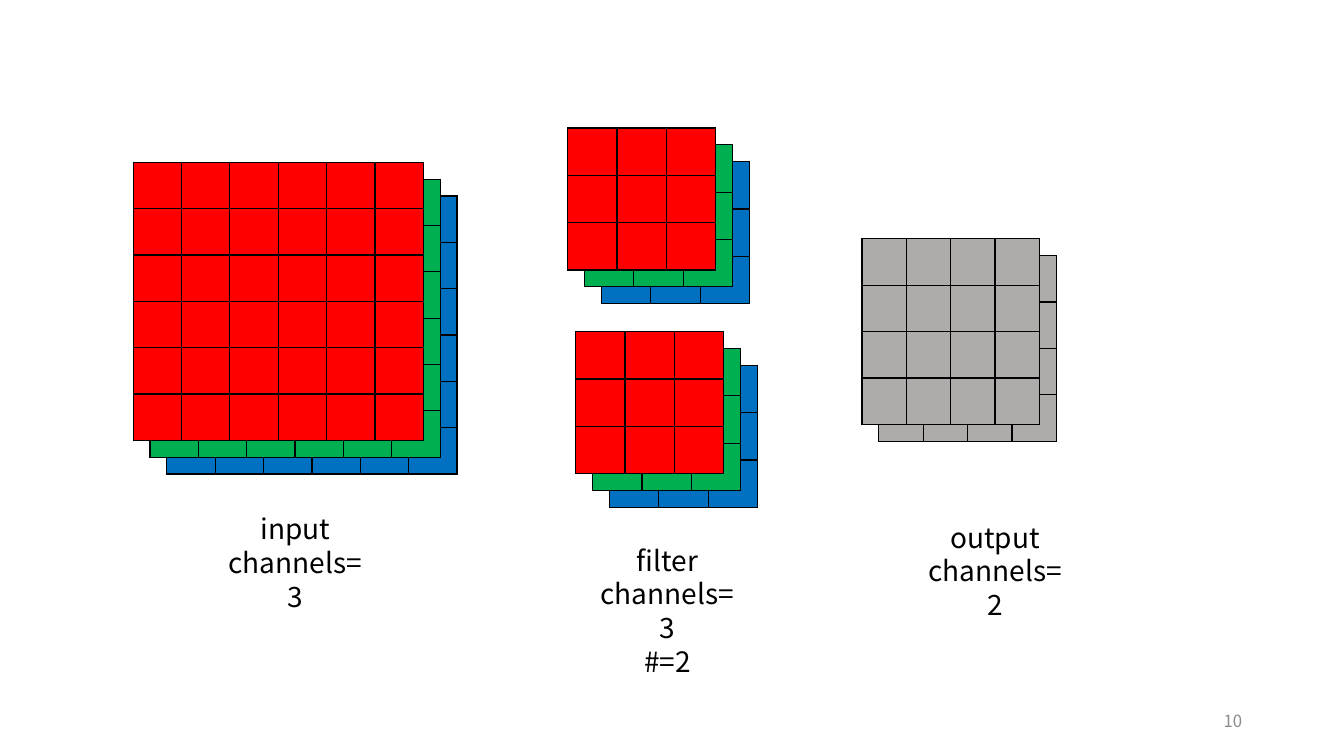
from pptx import Presentation
from pptx.dml.color import RGBColor
from pptx.enum.text import MSO_ANCHOR, PP_ALIGN
from pptx.oxml import parse_xml
from pptx.oxml.ns import nsdecls
from pptx.util import Inches, Pt

RED, GREEN, BLUE, GRAY = "FF0000", "00B050", "0070C0", "AFABAB"
LAYER_STEP = 0.167


def color(value):
    return RGBColor.from_string(value)


def write(frame, text, size=20, ink="000000", font="Noto Sans CJK KR",
          align=PP_ALIGN.CENTER, anchor=MSO_ANCHOR.TOP, spacing=None):
    frame.word_wrap = True
    frame.vertical_anchor = anchor
    frame.text = text
    for paragraph in frame.paragraphs:
        paragraph.alignment = align
        paragraph.line_spacing = spacing
        for run in paragraph.runs:
            run.font.size = Pt(size)
            run.font.name = font
            run.font.color.rgb = color(ink)


class ChannelSlide:
    def __init__(self, slide, border="000000", border_width=1):
        self.slide = slide
        self.border = border
        self.border_width = Pt(border_width)

    def outline(self, cell):
        properties = cell._tc.get_or_add_tcPr()
        for position, side in enumerate(("lnL", "lnR", "lnT", "lnB")):
            properties.insert(position, parse_xml(
                f'<a:{side} {nsdecls("a")} w="{self.border_width}"><a:solidFill>'
                f'<a:srgbClr val="{self.border}"/></a:solidFill></a:{side}>'))

    def channel(self, left, top, count, cell_width, cell_height, fill):
        grid = self.slide.shapes.add_table(
            count, count, Inches(left), Inches(top),
            Inches(count * cell_width), Inches(count * cell_height)).table
        for column in grid.columns:
            column.width = Inches(cell_width)
        for row in grid.rows:
            row.height = Inches(cell_height)
        for cell in grid.iter_cells():
            cell.fill.solid()
            cell.fill.fore_color.rgb = color(fill)
            self.outline(cell)

    def stack(self, left, top, count, cell_width, cell_height, fills):
        for depth in reversed(range(len(fills))):
            shift = depth * LAYER_STEP
            self.channel(left + shift, top + shift, count,
                         cell_width, cell_height, fills[depth])

    def label(self, left, top, width, height, text, **style):
        box = self.slide.shapes.add_textbox(
            Inches(left), Inches(top), Inches(width), Inches(height))
        write(box.text_frame, text, **style)


def main():
    deck = Presentation()
    deck.slide_width, deck.slide_height = Inches(13.33), Inches(7.5)
    page = ChannelSlide(deck.slides.add_slide(deck.slide_layouts[6]))

    rgb = (RED, GREEN, BLUE)
    page.stack(1.32, 1.61, 6, 0.48, 0.46, rgb)
    page.stack(8.55, 2.37, 4, 0.44, 0.46, (GRAY, GRAY))
    for left, top in ((5.71, 3.29), (5.63, 1.27)):
        page.stack(left, top, 3, 0.49, 0.47, rgb)

    for left, top, height, caption in (
            (5.79, 5.34, 1.11, "filter\nchannels=3\n#=2"),
            (9.04, 5.11, 0.77, "output\nchannels=2"),
            (2.1, 5.03, 0.77, "input\nchannels=3")):
        page.label(left, top, 1.66, height, caption)
    page.label(9.42, 6.95, 3, 0.4, "10", size=12, ink="8C8C8C",
               align=PP_ALIGN.RIGHT, anchor=MSO_ANCHOR.MIDDLE)

    deck.save("out.pptx")


if __name__ == "__main__":
    main()
